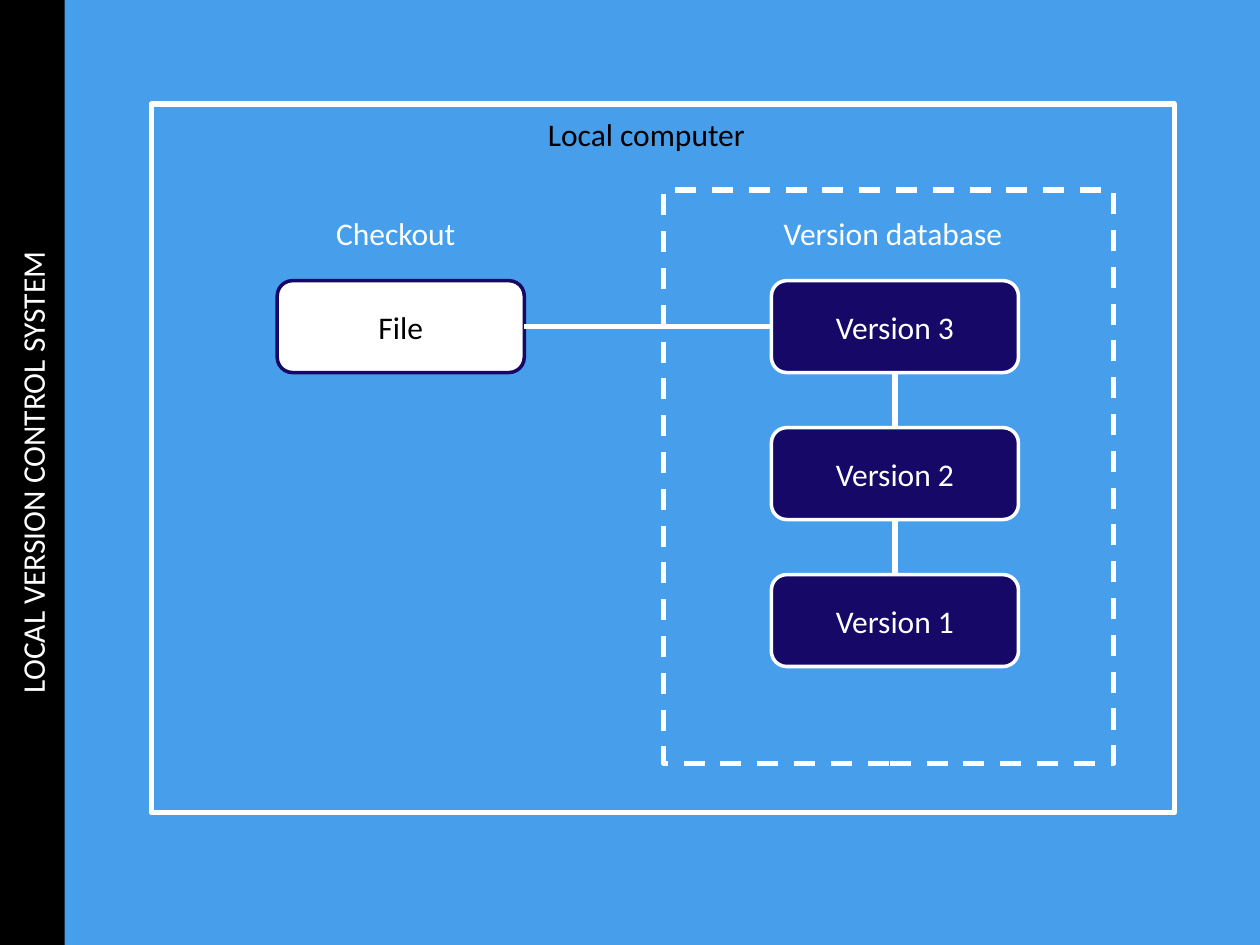
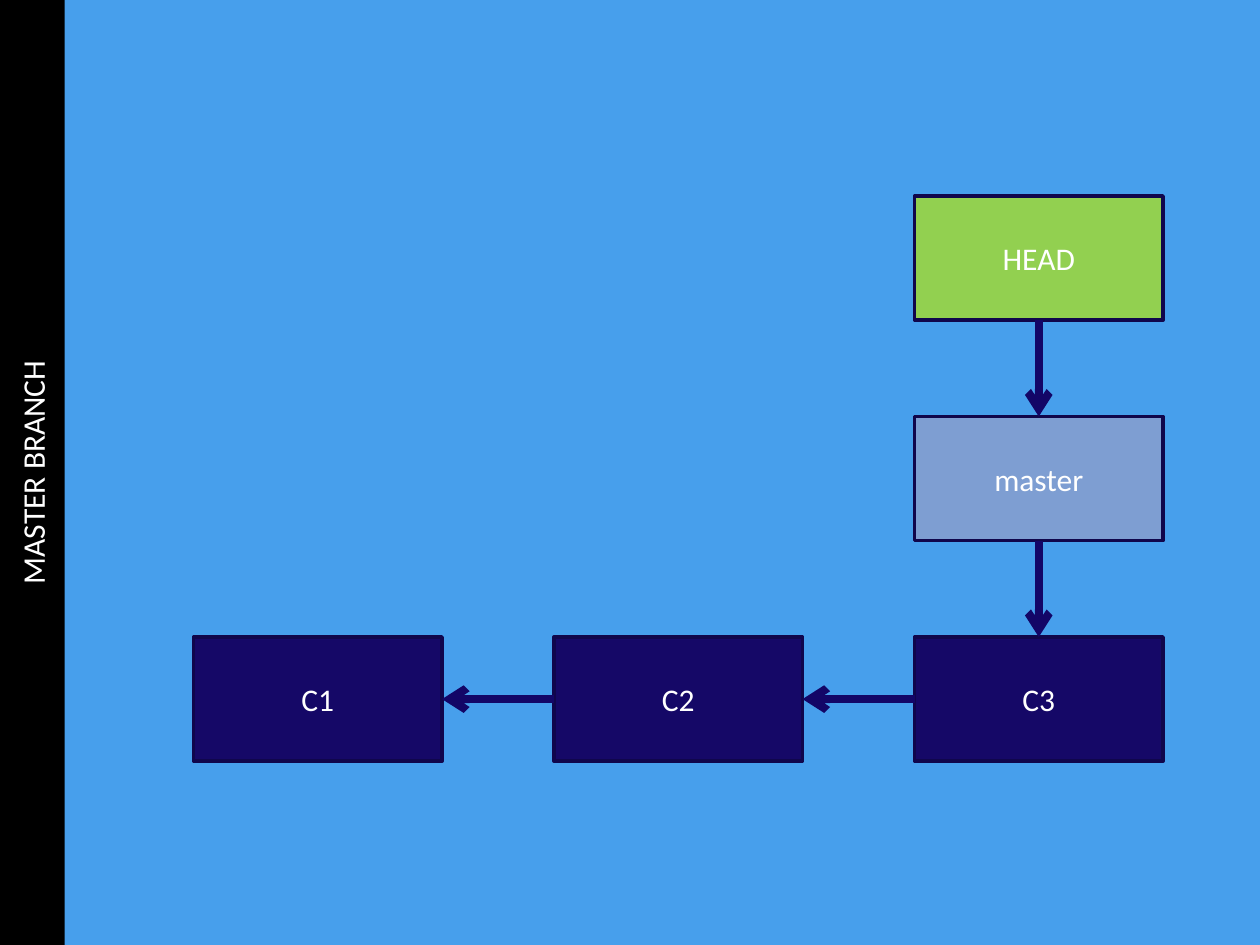
from pptx import Presentation
from pptx.dml.color import RGBColor
from pptx.enum import dml, shapes, text
from pptx.oxml.ns import qn
from pptx.util import Pt
from lxml import etree

SKY = RGBColor(0x47, 0x9F, 0xEC)
NAVY = RGBColor(0x15, 0x08, 0x67)
EDGE = RGBColor(0x10, 0x06, 0x4C)
ARROW = RGBColor(0x13, 0x06, 0x67)
GREEN = RGBColor(0x92, 0xD0, 0x50)
STEEL = RGBColor(0x7E, 0x9E, 0xD2)
WHITE = RGBColor(0xFF, 0xFF, 0xFF)
BLACK = RGBColor(0, 0, 0)
FONT, TEXT_SIZE = "Calibri", Pt(18)
RECT = shapes.MSO_SHAPE.RECTANGLE
ROUNDED = shapes.MSO_SHAPE.ROUNDED_RECTANGLE
TOP, LEFT, BOTTOM, RIGHT = range(4)


def add_box(slide, kind, bounds, fill=None, edge=None, weight=2, label="", ink=WHITE):
    """Draw a preset shape with a centred label; no fill or edge colour means none is drawn."""
    box = slide.shapes.add_shape(kind, *(Pt(length) for length in bounds))
    box.shadow.inherit = False
    if fill is None:
        box.fill.background()
    else:
        box.fill.solid()
        box.fill.fore_color.rgb = fill
    if edge is None:
        box.line.fill.background()
    else:
        box.line.color.rgb = edge
        box.line.width = Pt(weight)
    if label:
        frame = box.text_frame
        frame.text = label
        frame.vertical_anchor = text.MSO_ANCHOR.MIDDLE
        frame.paragraphs[0].alignment = text.PP_ALIGN.CENTER
        font = frame.paragraphs[0].runs[0].font
        font.name, font.size, font.color.rgb = FONT, TEXT_SIZE, ink
    return box


def link(slide, start, start_side, end, end_side, color, weight, arrow=False):
    """Join the sides of two boxes, with an arrowhead at the end if asked."""
    line = slide.shapes.add_connector(shapes.MSO_CONNECTOR.STRAIGHT, 0, 0, 0, 0)
    line.begin_connect(start, start_side)
    line.end_connect(end, end_side)
    line.line.color.rgb = color
    line.line.width = Pt(weight)
    properties = line._element.spPr
    if arrow:
        etree.SubElement(properties.find(qn("a:ln")), qn("a:tailEnd"), type="arrow")
    etree.SubElement(properties, qn("a:effectLst"))


deck = Presentation()
deck.slide_width, deck.slide_height = Pt(720), Pt(540)

# Shared background and title band
for title in ("LOCAL VERSION CONTROL SYSTEM", "MASTER BRANCH"):
    slide = deck.slides.add_slide(deck.slide_layouts[6])
    slide.background.fill.solid()
    slide.background.fill.fore_color.rgb = SKY
    band = add_box(slide, RECT, (0, 0, 37, 540), BLACK, label=title)
    band.text_frame._txBody.bodyPr.set("vert", "vert270")

local, branch = deck.slides

# Slide 1: checked-out file and version database on one computer
ROW_TOP, VERSION_STEP = 160.4, 84
NODE_WIDTH, NODE_HEIGHT = 141.2, 52.5

versions = [
    add_box(local, ROUNDED, (440.8, ROW_TOP + i * VERSION_STEP, NODE_WIDTH, NODE_HEIGHT),
            NAVY, WHITE, label=f"Version {3 - i}")
    for i in range(3)
]
checked_out = add_box(local, ROUNDED, (158.4, ROW_TOP, NODE_WIDTH, NODE_HEIGHT),
                      WHITE, NAVY, label="File", ink=BLACK)
link(local, checked_out, RIGHT, versions[0], LEFT, WHITE, 3)
for newer, older in zip(versions, versions[1:]):
    link(local, newer, BOTTOM, older, TOP, WHITE, 3)

database = add_box(local, RECT, (379.2, 108.6, 257.2, 327.6), edge=WHITE, weight=3)
database.line.dash_style = dml.MSO_LINE.DASH
add_box(local, RECT, (86.4, 59.5, 584.8, 404.8), edge=WHITE, weight=3)

for caption, left, top, width, ink in (
    ("Version database", 440.8, 119, 141, WHITE),
    ("Checkout", 185, 119, 83.5, WHITE),
    ("Local computer", 306, 62, 129, BLACK),
):
    caption_box = local.shapes.add_textbox(Pt(left), Pt(top), Pt(width), Pt(29))
    frame = caption_box.text_frame
    frame.word_wrap = False
    frame.auto_size = text.MSO_AUTO_SIZE.SHAPE_TO_FIT_TEXT
    frame.text = caption
    font = frame.paragraphs[0].runs[0].font
    font.name, font.size, font.color.rgb = FONT, TEXT_SIZE, ink

# Slide 2: commits in a row, with the pointers stacked above the latest
COMMIT_LEFT, COMMIT_STEP = 110.6, 206
HEAD_TOP, POINTER_STEP = 112, 126
BLOCK_WIDTH, BLOCK_HEIGHT = 142, 71
latest_left = COMMIT_LEFT + 2 * COMMIT_STEP

commits = [
    add_box(branch, RECT,
            (COMMIT_LEFT + i * COMMIT_STEP, HEAD_TOP + 2 * POINTER_STEP, BLOCK_WIDTH, BLOCK_HEIGHT),
            NAVY, EDGE, label=f"C{i + 1}")
    for i in range(3)
]
head, master = [
    add_box(branch, RECT, (latest_left, HEAD_TOP + i * POINTER_STEP, BLOCK_WIDTH, BLOCK_HEIGHT),
            fill, EDGE, label=name)
    for i, (name, fill) in enumerate((("HEAD", GREEN), ("master", STEEL)))
]
for parent, child in zip(commits, commits[1:]):
    link(branch, child, LEFT, parent, RIGHT, ARROW, 4.5, arrow=True)
for pointer, target in ((head, master), (master, commits[-1])):
    link(branch, pointer, BOTTOM, target, TOP, ARROW, 4.5, arrow=True)

deck.save("out.pptx")
